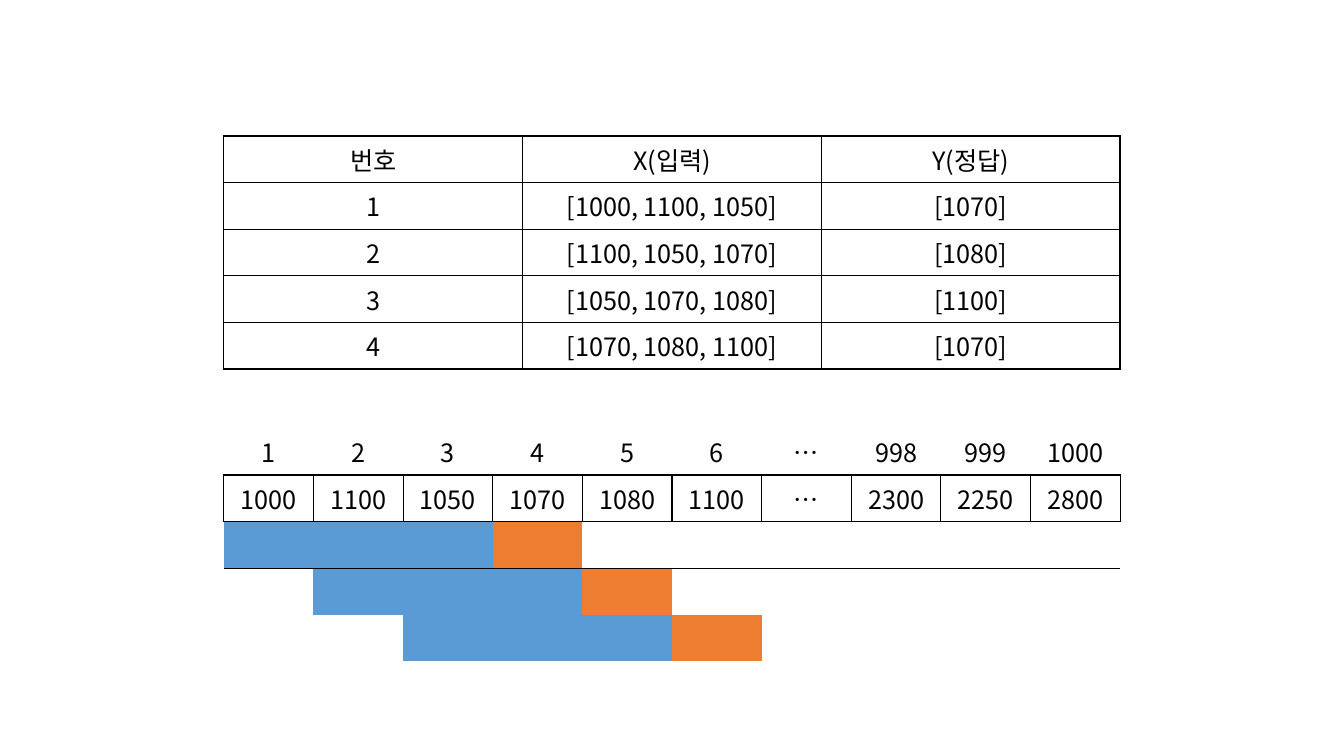
"""Build a slide that shows how a number series becomes training pairs."""
from pptx import Presentation
from pptx.dml.color import RGBColor
from pptx.enum.text import PP_ALIGN as Align
from pptx.oxml import parse_xml
from pptx.oxml.ns import nsdecls
from pptx.util import Inches, Pt

NO_STYLE = "{2D5ABB26-0587-4C30-8999-92F81FD0307C}"


def color(code):
    return RGBColor.from_string(code)


class Deck:
    font = "Noto Sans CJK KR"
    size = 18
    ink = "000000"
    blue = "5B9BD5"
    orange = "ED7D31"

    def __init__(self):
        self.prs = Presentation()
        self.prs.slide_width = Inches(13.33)
        self.prs.slide_height = Inches(7.5)
        self.slide = self.prs.slides.add_slide(self.prs.slide_layouts[6])

    def table(self, top, width, heights, count):
        shape = self.slide.shapes.add_table(
            len(heights), count, Inches(2.22), Inches(top),
            Inches(width), Inches(sum(heights)))
        table = shape.table
        table.first_row = table.horz_banding = False
        table._tbl.tblPr[0].text = NO_STYLE
        for col in table.columns:
            col.width = Inches(width / count)
        for row, height in zip(table.rows, heights):
            row.height = Inches(height)
        return table

    def cell(self, cell, text="", edges="", fill=None):
        props = cell._tc.get_or_add_tcPr()
        for edge in edges:
            props.append(parse_xml(
                f'<a:ln{edge} {nsdecls("a")} w="{Pt(1)}"><a:solidFill>'
                f'<a:srgbClr val="{self.ink}"/></a:solidFill></a:ln{edge}>'))
        if fill:
            cell.fill.solid()
            cell.fill.fore_color.rgb = color(fill)
        else:
            cell.fill.background()
        cell.text_frame.text = text
        para = cell.text_frame.paragraphs[0]
        para.alignment = Align.CENTER
        faces = [parse_xml(f'<a:{tag} {nsdecls("a")} typeface="{self.font}"/>')
                 for tag in ("latin", "ea")]
        if text:
            run = para.runs[0]
            run.font.size = Pt(self.size)
            run.font.color.rgb = color(self.ink)
            run._r.get_or_add_rPr().extend(faces)
        else:
            end = parse_xml(
                f'<a:endParaRPr {nsdecls("a")} sz="{self.size * 100}"/>')
            end.extend(faces)
            para._p.append(end)

    def pairs(self, rows):
        table = self.table(1.35, 8.89, [0.39] + [0.41] * 4, 3)
        for r, row in enumerate(rows):
            for c, text in enumerate(row):
                self.cell(table.cell(r, c), text, "LRTB")

    def series(self, heads, values, span, steps):
        table = self.table(4.25, 8.89, [0.41] * (2 + steps), len(heads))
        for c, (head, value) in enumerate(zip(heads, values)):
            self.cell(table.cell(0, c), head, "B")
            self.cell(table.cell(1, c), value, "LRTB")
            for step in range(steps):
                fill = None
                if step <= c < step + span:
                    fill = self.blue
                elif c == step + span:
                    fill = self.orange
                self.cell(table.cell(2 + step, c),
                          edges="" if step else "T", fill=fill)


def main():
    deck = Deck()
    heads = ["1", "2", "3", "4", "5", "6", "…", "998", "999", "1000"]
    values = ["1000", "1100", "1050", "1070", "1080", "1100", "…",
              "2300", "2250", "2800"]
    deck.pairs([
        ["번호", "X(입력)", "Y(정답)"],
        ["1", "[1000, 1100, 1050]", "[1070]"],
        ["2", "[1100, 1050, 1070]", "[1080]"],
        ["3", "[1050, 1070, 1080]", "[1100]"],
        ["4", "[1070, 1080, 1100]", "[1070]"],
    ])
    deck.series(heads, values, span=3, steps=3)
    deck.prs.save("out.pptx")


if __name__ == "__main__":
    main()
